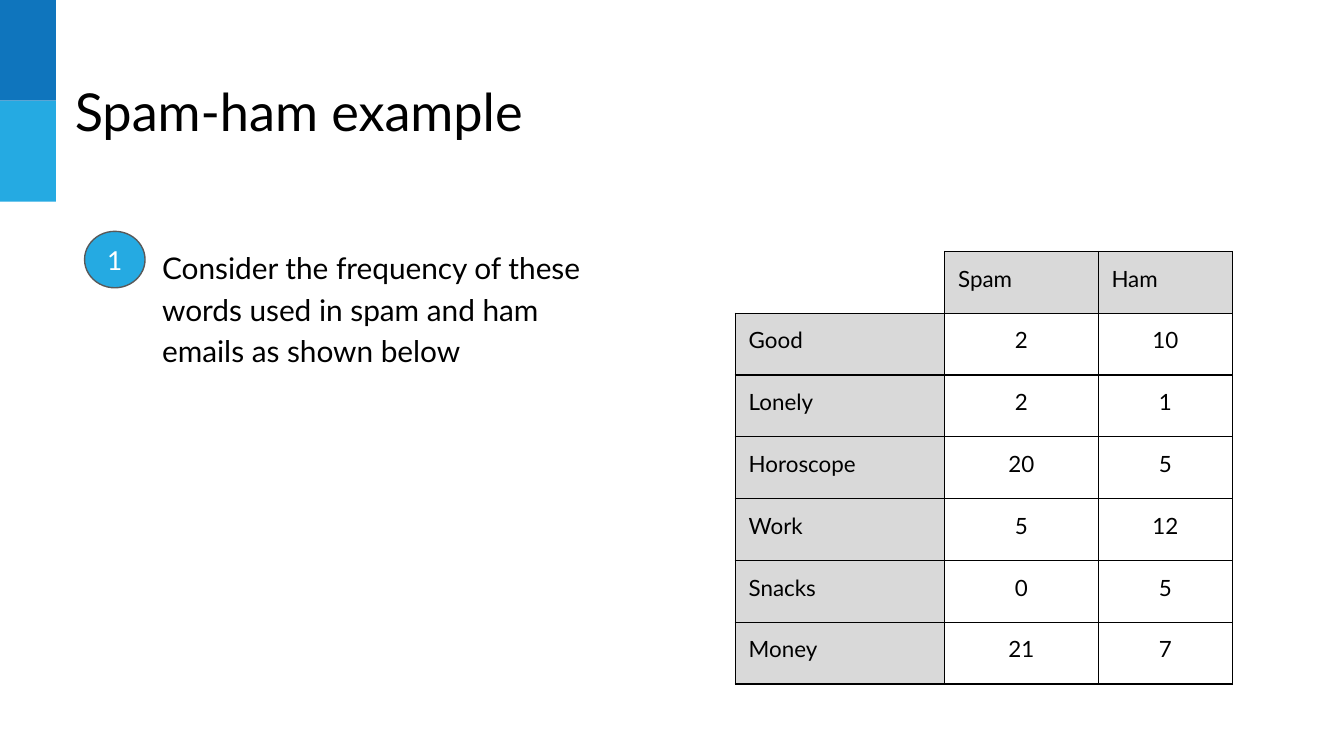
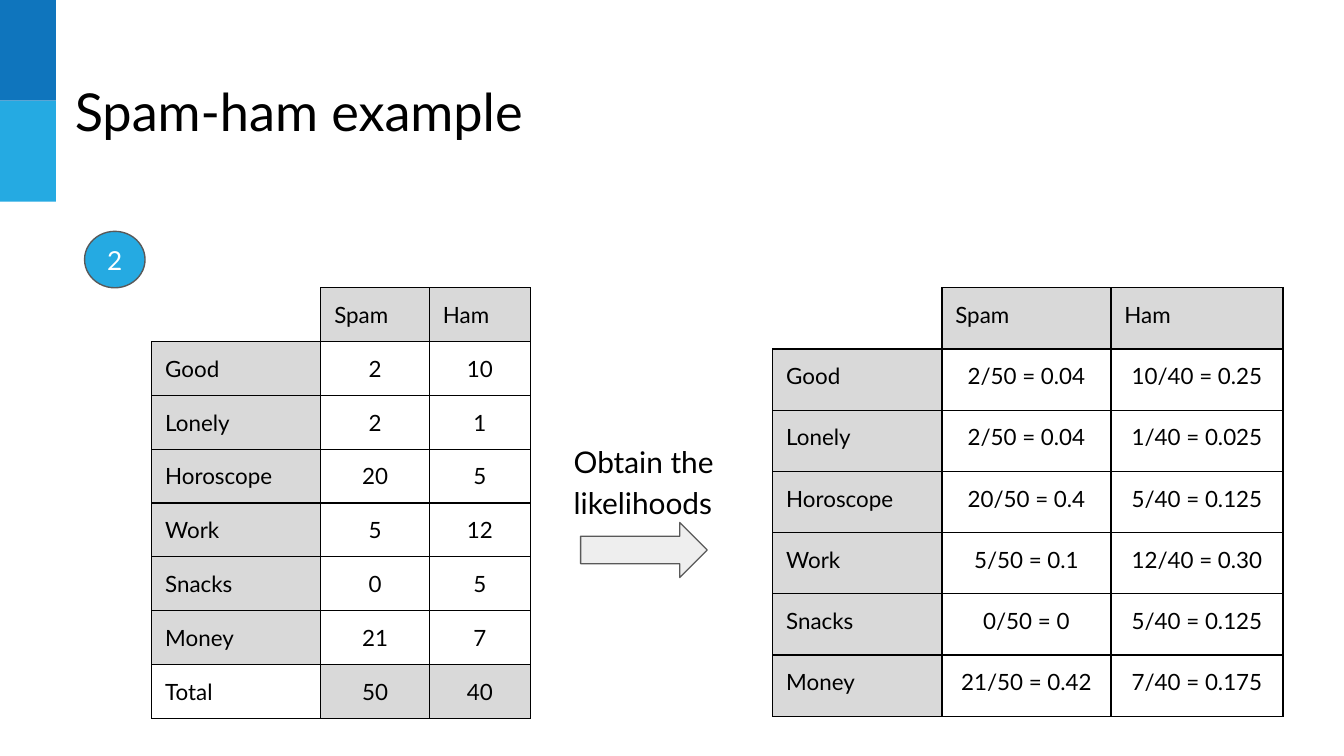
from lxml.etree import SubElement
from pptx import Presentation
from pptx.dml.color import RGBColor as RGB
from pptx.enum.shapes import MSO_SHAPE as SHAPE
from pptx.enum.text import MSO_ANCHOR as ANCHOR, PP_ALIGN as ALIGN
from pptx.oxml.ns import qn
from pptx.util import Inches, Pt

# Shared style
COLORS = {
    "dark": "0F75BD", "light": "25AAE2", "text": "000000", "white": "FFFFFF",
    "label": "D9D9D9", "outline": "595959", "arrow": "EEEEEE",
}
FONT = "Lato"
TITLE = "Spam-ham example"
INSET = Inches(0.1)
LINE_W = Pt(0.75)

# Grid of 24 columns and 15 rows; boxes are (column, row, columns, rows)
W = Inches(10)
H = W * 9 // 16
COL, ROW = W / 24, H / 15
TITLE_BOX = (1.1, 1.31, 17.69, 1.68)
BADGE_BOX = (1.51, 4.59, 1.08, 1.12)

# Word counts as (spam, ham), and the likelihoods found from them
HEADER = ("", "Spam", "Ham")
COUNTS = {
    "Good": (2, 10), "Lonely": (2, 1), "Horoscope": (20, 5),
    "Work": (5, 12), "Snacks": (0, 5), "Money": (21, 7),
}
LIKELIHOODS = {
    "Good": ("0.04", "0.25"), "Lonely": ("0.04", "0.025"),
    "Horoscope": ("0.4", "0.125"), "Work": ("0.1", "0.30"),
    "Snacks": ("0", "0.125"), "Money": ("0.42", "0.175"),
}
TOTALS = tuple(sum(column) for column in zip(*COUNTS.values()))


def rgb(name):
    return RGB.from_string(COLORS[name])


def place(box):
    x, y, w, h = box
    return round(x * COL), round(y * ROW), round(w * COL), round(h * ROW)


def write(tf, text, size, color="text", align=ALIGN.LEFT, spacing=None):
    p = tf.paragraphs[0]
    p.alignment = align
    p.line_spacing = spacing
    p.font.name, p.font.size = FONT, Pt(size)
    p.font.color.rgb = rgb(color)
    if text:
        p.add_run().text = text


def add_text(s, box, text, size, spacing=None):
    tf = s.shapes.add_textbox(*place(box)).text_frame
    tf.word_wrap = True
    tf.margin_left = tf.margin_right = tf.margin_top = tf.margin_bottom = INSET
    write(tf, text, size, spacing=spacing)


def add_shape(s, kind, box, fill, line=None):
    sp = s.shapes.add_shape(kind, *place(box))
    sp.shadow.inherit = False
    sp.fill.solid()
    sp.fill.fore_color.rgb = rgb(fill)
    if line:
        sp.line.color.rgb = rgb(line)
        sp.line.width = LINE_W
    else:
        sp.line.fill.background()
    return sp


def set_borders(cell, hidden=()):
    tcPr = cell._tc.get_or_add_tcPr()
    for side in ("lnL", "lnR", "lnT", "lnB"):
        ln = SubElement(tcPr, qn(f"a:{side}"), w=str(LINE_W))
        if side in hidden:
            SubElement(ln, qn("a:noFill"))
        else:
            fill = SubElement(ln, qn("a:solidFill"))
            SubElement(fill, qn("a:srgbClr"), val=COLORS["text"])


def add_word_table(s, left, top, widths, height, rows):
    """Words down the side, Spam and Ham across; a Total row is shaded in reverse."""
    rows = [HEADER, *rows]
    box = (left, top, sum(widths), height)
    table = s.shapes.add_table(len(rows), len(widths), *place(box)).table
    table.first_row = table.horz_banding = False
    for column, width in zip(table.columns, widths):
        column.width = round(width * COL)
    for i, row in enumerate(rows):
        table.rows[i].height = round(height * ROW / len(rows))
        for j, value in enumerate(row):
            cell = table.cell(i, j)
            cell.margin_left = cell.margin_right = INSET
            cell.margin_top = cell.margin_bottom = INSET
            is_value = i > 0 and j > 0
            write(cell.text_frame, str(value), 12,
                  align=ALIGN.CENTER if is_value else ALIGN.LEFT)
            corner = i == j == 0
            set_borders(cell, ("lnL", "lnT") if corner else ())
            if not corner and is_value == (row[0] == "Total"):
                cell.fill.solid()
                cell.fill.fore_color.rgb = rgb("label")
            else:
                cell.fill.background()


def add_frame(prs, step):
    """Blank slide with the side bands, the title and the step number."""
    s = prs.slides.add_slide(prs.slide_layouts[6])
    for i, color in enumerate(("dark", "light")):
        add_shape(s, SHAPE.RECTANGLE, (0, 2 * i, 1, 2), color)
    add_text(s, TITLE_BOX, TITLE, 28)
    badge = add_shape(s, SHAPE.OVAL, BADGE_BOX, "light", "outline")
    tf = badge.text_frame
    tf.vertical_anchor = ANCHOR.MIDDLE
    tf.word_wrap = False
    write(tf, str(step), 14, "white", ALIGN.CENTER)
    return s


def add_counts_slide(prs):
    s = add_frame(prs, 1)
    add_text(s, (2.66, 4.59, 8.5, 3.12),
             "Consider the frequency of these words used in spam and ham "
             "emails as shown below", 16, 1.15)
    rows = [(word, *pair) for word, pair in COUNTS.items()]
    add_word_table(s, 13.13, 4.99, (3.74, 2.74, 2.4), 8.59, rows)


def add_likelihoods_slide(prs):
    s = add_frame(prs, 2)
    top = 5.71
    # Counts with totals
    rows = [(word, *pair) for word, pair in COUNTS.items()]
    rows.append(("Total", *TOTALS))
    add_word_table(s, 2.71, top, (3.02, 1.94, 1.8), 8.53, rows)
    # Step between the tables
    add_text(s, (10.01, 8.43, 3.26, 1.95), "Obtain the likelihoods", 16, 1.15)
    add_shape(s, SHAPE.RIGHT_ARROW, (10.37, 10.37, 2.26, 1.09), "arrow", "outline")
    # Each count divided by its total
    rows = [
        (word, *(f"{n}/{total} = {share}"
                 for n, total, share in zip(COUNTS[word], TOTALS, shares)))
        for word, shares in LIKELIHOODS.items()
    ]
    add_word_table(s, 13.8, top, (3.02, 3.02, 3.07), 8.51, rows)


def main():
    prs = Presentation()
    prs.slide_width, prs.slide_height = W, H
    add_counts_slide(prs)
    add_likelihoods_slide(prs)
    prs.save("out.pptx")


if __name__ == "__main__":
    main()
